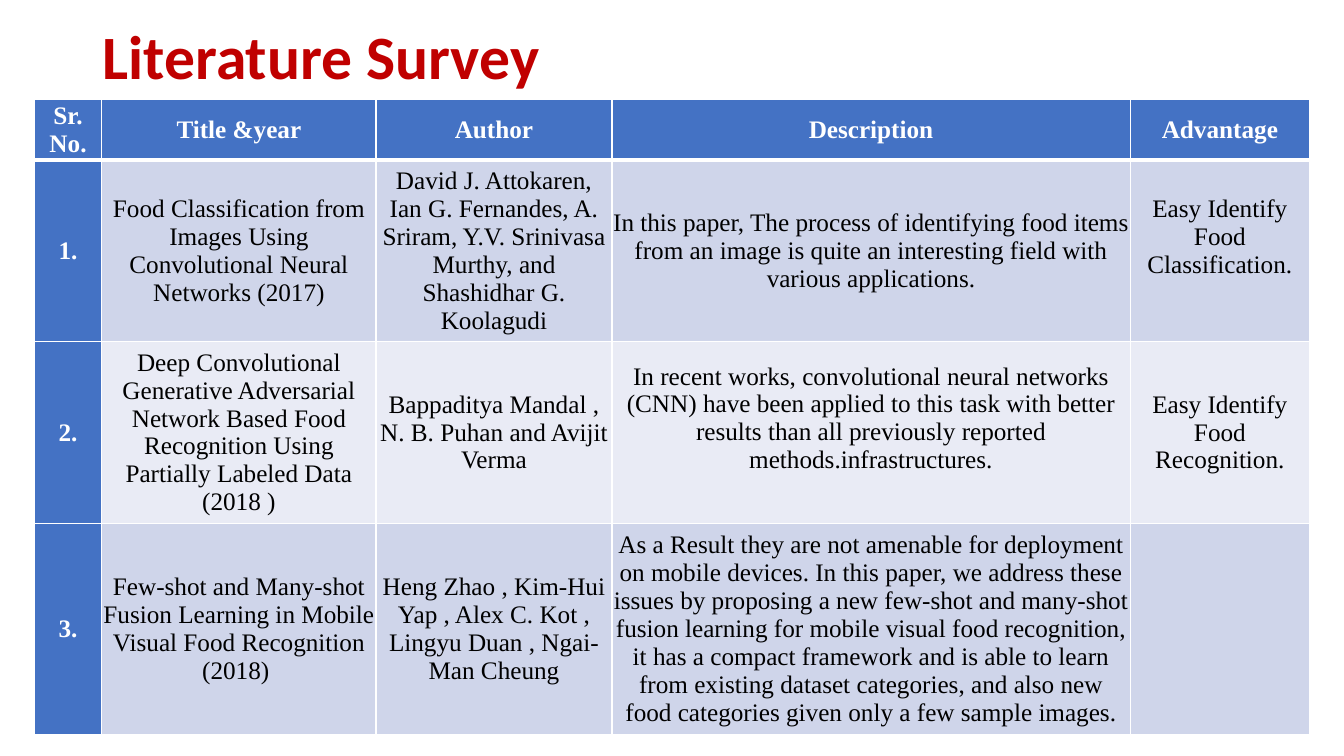
from lxml import etree
from pptx import Presentation
from pptx.dml.color import RGBColor as RGB
from pptx.enum.text import MSO_ANCHOR as ANCHOR, PP_ALIGN as ALIGN
from pptx.oxml.ns import qn
from pptx.util import Inches, Pt

COLORS = {
    "title": "C00000",
    "head": "4472C4",
    "odd": "CFD5EA",
    "even": "E9EBF5",
    "white": "FFFFFF",
    "black": "000000",
}
COLS = [0.67, 2.72, 2.34, 5.14, 1.78]
HEIGHTS = [0.6, 1.8, 1.8, 2.1]
ROWS = [
    ["Sr. No.", "Title &year", "Author", "Description", "Advantage"],
    [
        "1.",
        "Food Classification from Images Using Convolutional Neural Networks (2017)",
        "David J. Attokaren, Ian G. Fernandes, A. Sriram, Y.V. Srinivasa Murthy, "
        "and Shashidhar G. Koolagudi",
        "In this paper, The process of identifying food items from an image is quite "
        "an interesting field with various applications.",
        "Easy Identify Food Classification.",
    ],
    [
        "2.",
        "Deep Convolutional Generative Adversarial Network Based Food Recognition "
        "Using Partially Labeled Data (2018 )",
        "Bappaditya Mandal , N. B. Puhan and Avijit Verma",
        "In recent works, convolutional neural networks (CNN) have been applied to "
        "this task with better results than all previously reported "
        "methods.infrastructures.",
        "Easy Identify Food Recognition.",
    ],
    [
        "3.",
        "Few-shot and Many-shot Fusion Learning in Mobile Visual Food Recognition "
        "(2018) ",
        "Heng Zhao , Kim-Hui Yap , Alex C. Kot , Lingyu Duan , Ngai-Man Cheung",
        "As a Result they are not amenable for deployment on mobile devices. In this "
        "paper, we address these issues by proposing a new few-shot and many-shot "
        "fusion learning for mobile visual food recognition, it has a compact "
        "framework and is able to learn from existing dataset categories, and also "
        "new food categories given only a few sample images.",
        "",
    ],
]
RAISED = {(1, 4), (2, 3)}


def add_run(p, text, font, size, color, bold):
    r = p.add_run()
    r.text = text
    r.font.name = font
    r.font.size = Pt(size)
    r.font.bold = bold
    r.font.color.rgb = RGB.from_string(COLORS[color])


def add_border(cell, side, width):
    ln = etree.SubElement(cell._tc.get_or_add_tcPr(), qn(f"a:ln{side}"), w=str(Pt(width)))
    fill = etree.SubElement(ln, qn("a:solidFill"))
    etree.SubElement(fill, qn("a:srgbClr"), val=COLORS["white"])


prs = Presentation()
prs.slide_width, prs.slide_height = Inches(13.33), Inches(7.5)
s = prs.slides.add_slide(prs.slide_layouts[5])

title = s.shapes.title
title.left, title.top = Inches(0.92), Inches(-0.13)
title.width, title.height = Inches(11.5), Inches(1.45)
tf = title.text_frame
tf.vertical_anchor = ANCHOR.MIDDLE
p = tf.paragraphs[0]
p.alignment = ALIGN.LEFT
p.line_spacing = 0.9
add_run(p, "Literature Survey", "Calibri", 44, "title", True)

table = s.shapes.add_table(
    len(ROWS), len(COLS), Inches(0.34), Inches(0.99),
    Inches(sum(COLS)), Inches(sum(HEIGHTS)),
).table
for col, width in zip(table.columns, COLS):
    col.width = Inches(width)
for row, height in zip(table.rows, HEIGHTS):
    row.height = Inches(height)

for i, texts in enumerate(ROWS):
    for j, text in enumerate(texts):
        cell = table.cell(i, j)
        heading = i == 0 or j == 0
        for side in "LRTB":
            thick = (i, side) in {(0, "B"), (1, "T")}
            add_border(cell, side, 3 if thick else 1)
        band = "head" if heading else "odd" if i % 2 else "even"
        cell.fill.solid()
        cell.fill.fore_color.rgb = RGB.from_string(COLORS[band])
        cell.vertical_anchor = ANCHOR.MIDDLE
        cell.margin_left = cell.margin_right = Inches(0.01)
        cell.margin_top = 0
        cell.margin_bottom = Inches(0.28 if (i, j) in RAISED else 0)
        if text:
            p = cell.text_frame.paragraphs[0]
            p.alignment = ALIGN.CENTER
            add_run(p, text, "Times New Roman", 18, "white" if heading else "black", heading)

prs.save("out.pptx")
